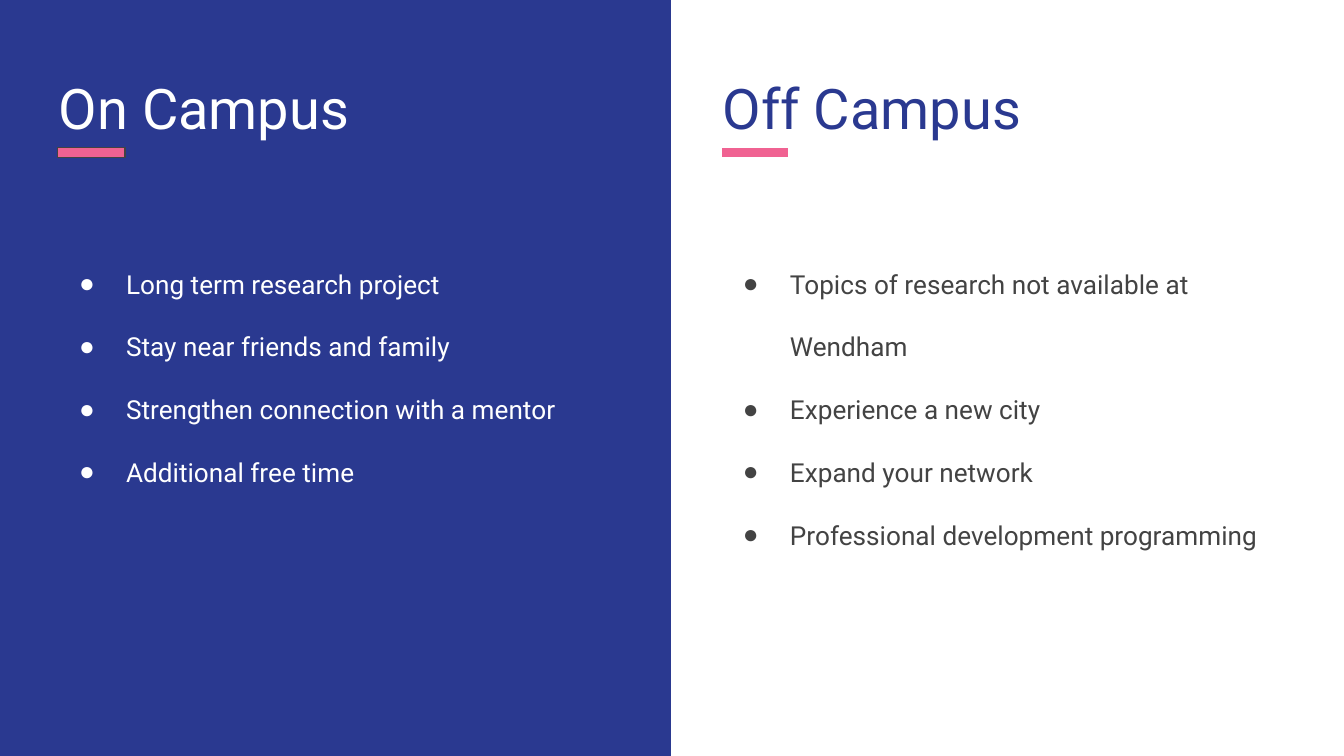
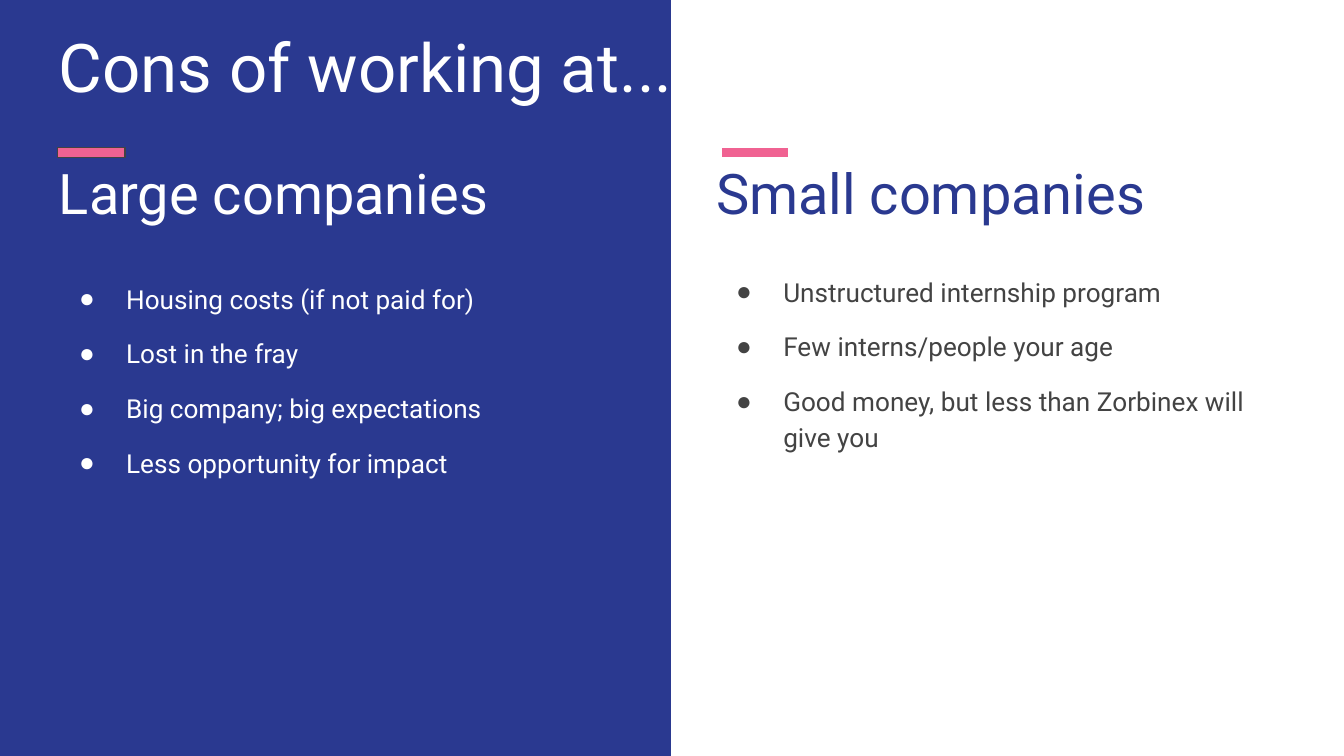
from pptx import Presentation
from pptx.dml.color import RGBColor
from pptx.enum.shapes import MSO_SHAPE
from pptx.enum.text import MSO_ANCHOR
from pptx.oxml.ns import qn
from pptx.util import Inches, Pt
from lxml.etree import SubElement

# Shared look
NAVY = RGBColor(0x2A, 0x39, 0x90)
WHITE = RGBColor(0xFF, 0xFF, 0xFF)
PINK = RGBColor(0xF0, 0x62, 0x92)
GRAY = RGBColor(0x43, 0x43, 0x43)
FONT = "Roboto"
BULLET_FONT = "Arial"

PAGE_WIDTH = 10
PAGE_HEIGHT = PAGE_WIDTH * 9 / 16
LEFT_COLUMN, RIGHT_COLUMN = 0.34, 5.28
COLUMN_WIDTH = 4.37
TITLE_HEIGHT, BODY_HEIGHT = 0.66, 3.65


def add_filled_shape(page, kind, left, top, width, height, fill, line):
    shape = page.shapes.add_shape(
        kind, Inches(left), Inches(top), Inches(width), Inches(height))
    shape.shadow.inherit = False
    shape.fill.solid()
    shape.fill.fore_color.rgb = fill
    shape.line.color.rgb = line
    shape.line.width = Pt(0.75)
    return shape


def set_bullet(para, color):
    properties = para._p.get_or_add_pPr()
    properties.set("marL", str(Inches(0.5)))
    properties.set("indent", str(Inches(-0.35)))
    bullet_color = SubElement(properties, qn("a:buClr"))
    SubElement(bullet_color, qn("a:srgbClr")).set("val", str(color))
    SubElement(properties, qn("a:buFont")).set("typeface", BULLET_FONT)
    SubElement(properties, qn("a:buChar")).set("char", "●")


def add_text(page, text, left, top, width=COLUMN_WIDTH, height=TITLE_HEIGHT,
             size=30, color=WHITE, bullets=False, line_spacing=None, gap=0):
    """Write each line of text as one paragraph; gap is the space between them."""
    box = page.shapes.add_textbox(
        Inches(left), Inches(top), Inches(width), Inches(height))
    frame = box.text_frame
    frame.word_wrap = True
    frame.vertical_anchor = MSO_ANCHOR.TOP
    frame.margin_left = frame.margin_right = Inches(0.1)
    frame.margin_top = frame.margin_bottom = Inches(0.1)
    for index, line in enumerate(text.split("\n")):
        para = frame.add_paragraph() if index else frame.paragraphs[0]
        if line_spacing:
            para.line_spacing = line_spacing
        if index and gap:
            para.space_before = Pt(gap)
        if bullets:
            set_bullet(para, color)
        span = para.add_run()
        span.text = line
        span.font.name = FONT
        span.font.size = Pt(size)
        span.font.color.rgb = color


def add_column(page, title, items, left, title_top, body_top, title_color,
               body_color, line_spacing, gap=0):
    add_text(page, title, left, title_top, color=title_color)
    add_text(page, "\n".join(items), left, body_top, height=BODY_HEIGHT,
             size=14, color=body_color, bullets=True,
             line_spacing=line_spacing, gap=gap)


def add_split_page(deck):
    """Navy page with a white right half and an accent bar in each half."""
    page = deck.slides.add_slide(deck.slide_layouts[6])
    page.background.fill.solid()
    page.background.fill.fore_color.rgb = NAVY
    half = PAGE_WIDTH / 2
    add_filled_shape(page, MSO_SHAPE.RECTANGLE, half, 0, half, PAGE_HEIGHT,
                     WHITE, WHITE)
    for left, outline in ((LEFT_COLUMN, GRAY), (RIGHT_COLUMN, WHITE)):
        bar = add_filled_shape(page, MSO_SHAPE.MATH_MINUS, left, 0.97, 0.68,
                               0.33, PINK, outline)
        bar.adjustments[0] = 0.235
    return page


def main():
    deck = Presentation()
    deck.slide_width = Inches(PAGE_WIDTH)
    deck.slide_height = Inches(PAGE_HEIGHT)

    # On campus and off campus
    page = add_split_page(deck)
    add_column(page, "On Campus", [
        "Long term research project",
        "Stay near friends and family",
        "Strengthen connection with a mentor",
        "Additional free time",
    ], LEFT_COLUMN, 0.45, 1.66, WHITE, WHITE, line_spacing=2.0)
    add_column(page, "Off Campus", [
        "Topics of research not available at Wendham",
        "Experience a new city",
        "Expand your network",
        "Professional development programming",
    ], RIGHT_COLUMN, 0.45, 1.66, NAVY, GRAY, line_spacing=2.0)

    # Large and small companies
    page = add_split_page(deck)
    add_column(page, "Large companies", [
        "Housing costs (if not paid for)",
        "Lost in the fray",
        "Big company; big expectations",
        "Less opportunity for impact",
    ], LEFT_COLUMN, 1.08, 1.97, WHITE, WHITE, line_spacing=1.15, gap=10)
    add_column(page, "Small companies", [
        "Unstructured internship program",
        "Few interns/people your age",
        "Good money, but less than Zorbinex will give you",
    ], RIGHT_COLUMN - 0.05, 1.08, 1.92, NAVY, GRAY, line_spacing=1.15, gap=10)
    add_text(page, "Cons of working at...", LEFT_COLUMN, 0.09, width=5, size=36)

    deck.save("out.pptx")


if __name__ == "__main__":
    main()
